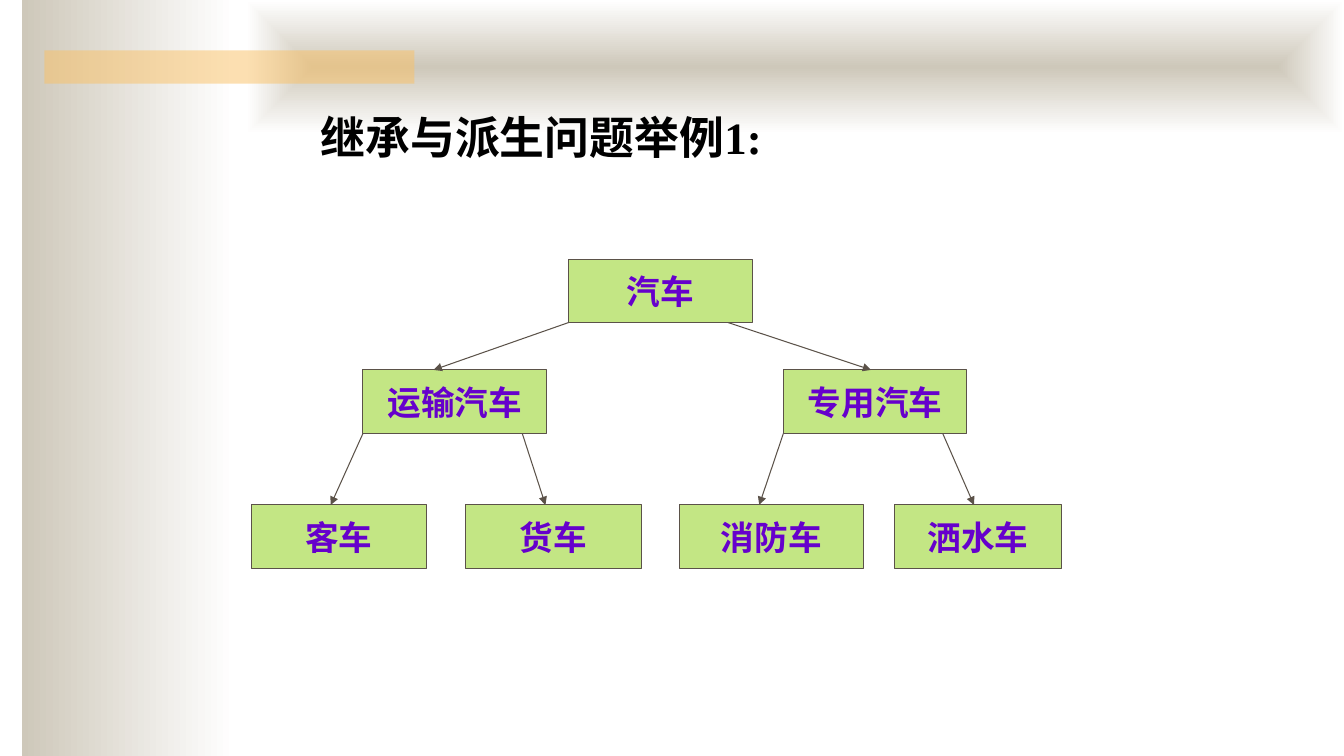
from lxml import etree
from pptx import Presentation
from pptx.dml.color import RGBColor
from pptx.enum.shapes import MSO_CONNECTOR, MSO_SHAPE
from pptx.enum.text import MSO_ANCHOR, MSO_AUTO_SIZE, PP_ALIGN
from pptx.oxml.ns import qn
from pptx.util import Inches, Pt

RECT, STRAIGHT = MSO_SHAPE.RECTANGLE, MSO_CONNECTOR.STRAIGHT
LEFT, CENTER = PP_ALIGN.LEFT, PP_ALIGN.CENTER
MIDDLE, BOTTOM = MSO_ANCHOR.MIDDLE, MSO_ANCHOR.BOTTOM
NO_FIT = MSO_AUTO_SIZE.NONE

# Content
TITLE = "继承与派生问题举例1:"
FONT = "Times New Roman"
COLORS = {"sand": "CEC8BA", "white": "FFFFFF", "orange": "FAC164", "box": "C3E684",
          "line": "5B5249", "label": "6600CC", "title": "000000"}
ROW_TOPS = [2.57, 3.67, 5.01]
BOX_HEIGHT = 0.63
RIGHT_BRANCH = 1.58  # offset of the right arrow from the parent's left edge
# name: (row, left, width)
BOXES = {
    "汽车": (0, 5.64, 1.82),
    "运输汽车": (1, 3.6, 1.82),
    "专用汽车": (1, 7.77, 1.82),
    "客车": (2, 2.49, 1.74),
    "货车": (2, 4.62, 1.74),
    "消防车": (2, 6.74, 1.82),
    "洒水车": (2, 8.87, 1.66),
}
# parent: x of the left and right arrowheads
BRANCHES = {"汽车": (4.3, 8.64), "运输汽车": (3.28, 5.41), "专用汽车": (7.53, 9.66)}


def rgb(name):
    return RGBColor.from_string(COLORS[name])


def add_rect(shapes, left, top, width, height):
    sp = shapes.add_shape(RECT, Inches(left), Inches(top), Inches(width), Inches(height))
    sp.shadow.inherit = False
    sp.line.fill.background()
    return sp


def fill_gradient(sp):
    sp.fill.gradient()
    sp.fill.gradient_angle = 0
    for stop, name in zip(sp.fill.gradient_stops, ("sand", "white")):
        stop.color.rgb = rgb(name)


def style_text(tf, size, color, align, anchor):
    tf.vertical_anchor = anchor
    p = tf.paragraphs[0]
    p.alignment = align
    font = p.runs[0].font
    font.name, font.size, font.bold = FONT, Pt(size), True
    font.color.rgb = rgb(color)


def add_box(shapes, name, row, left, width):
    sp = add_rect(shapes, left, ROW_TOPS[row], width, BOX_HEIGHT)
    sp.fill.solid()
    sp.fill.fore_color.rgb = rgb("box")
    sp.line.color.rgb = rgb("line")
    sp.line.width = Pt(0.75)
    tf = sp.text_frame
    tf.text = name
    tf.word_wrap = False
    style_text(tf, 24, "label", CENTER, MIDDLE)


def add_arrow(shapes, x1, y1, x2, y2):
    line = shapes.add_connector(STRAIGHT, Inches(x1), Inches(y1), Inches(x2), Inches(y2))
    line.line.color.rgb = rgb("line")
    line.line.width = Pt(0.75)
    etree.SubElement(line.line._get_or_add_ln(), qn("a:tailEnd"), type="triangle")
    etree.SubElement(line._element.spPr, qn("a:effectLst"))


prs = Presentation()
prs.slide_width, prs.slide_height = Inches(13.33), Inches(7.5)
s = prs.slides.add_slide(prs.slide_layouts[5])

# Background: side strip, top band, translucent bar
fill_gradient(add_rect(s.shapes, 0.22, 0, 2.11, 7.5))

band = add_rect(s.shapes, 2.44, 0, 10.89, 1.33)
fill_gradient(band)
grad = band._element.spPr.find(qn("a:gradFill"))
grad.remove(grad.find(qn("a:lin")))
shade = etree.SubElement(grad, qn("a:path"), path="shape")
etree.SubElement(shade, qn("a:fillToRect"), l="50000", t="50000", r="50000", b="50000")

bar = add_rect(s.shapes, 0.44, 0.5, 3.67, 0.33)
bar.fill.solid()
bar.fill.fore_color.rgb = rgb("orange")
bar_color = bar._element.spPr.find(qn("a:solidFill")).find(qn("a:srgbClr"))
etree.SubElement(bar_color, qn("a:alpha"), val="50000")

# Class tree
tree = s.shapes.add_group_shape().shapes
for name, (row, left, width) in BOXES.items():
    add_box(tree, name, row, left, width)
for parent, heads in BRANCHES.items():
    row, left, _ = BOXES[parent]
    for start, head in zip((left, left + RIGHT_BRANCH), heads):
        add_arrow(tree, start, ROW_TOPS[row] + BOX_HEIGHT, head, ROW_TOPS[row + 1])

# Title, in front of the band
title = s.shapes.title
title.left, title.top = Inches(3.08), Inches(0.67)
title.width, title.height = Inches(7.83), Inches(1)
title.text_frame.text = TITLE
title.text_frame.auto_size = NO_FIT
style_text(title.text_frame, 32, "title", LEFT, BOTTOM)
title._element.getparent().append(title._element)

prs.save("out.pptx")
